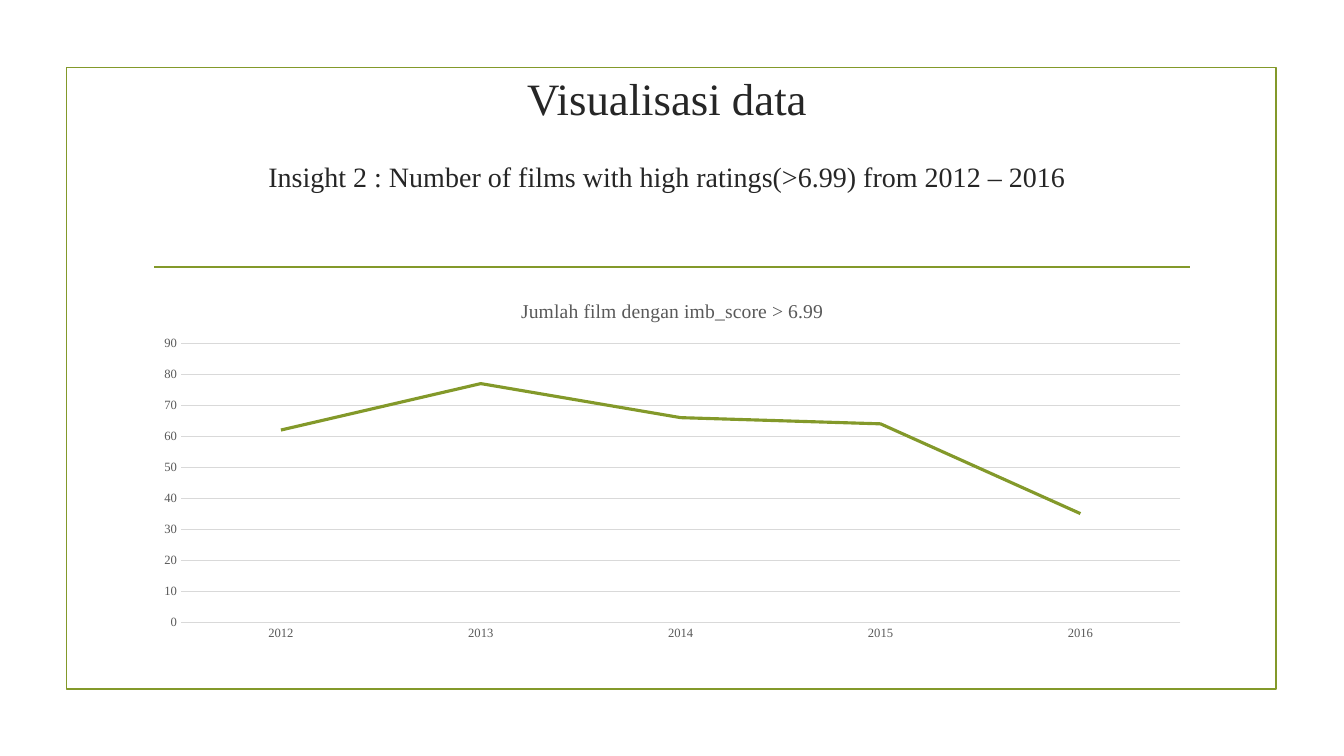
from dataclasses import dataclass

import pptx
import pptx.chart.data
import pptx.dml.color
import pptx.enum.chart
import pptx.enum.shapes
import pptx.enum.text
import pptx.oxml
import pptx.util
from pptx.util import Cm, Pt

FONT = "Times New Roman"
GREEN, DARK, GREY, PALE = "83992A", "262626", "595959", "D9D9D9"


@dataclass
class Heading:
    text: str
    size: float
    space_before: float


HEADINGS = [
    Heading("Visualisasi data", 32, 0),
    Heading("Insight 2 : Number of films with high ratings(>6.99) from 2012 – 2016", 20, 25),
]
CHART_TITLE = "Jumlah film dengan imb_score > 6.99"
FILMS = {"2012": 62, "2013": 77, "2014": 66, "2015": 64, "2016": 35}


def rgb(code: str) -> pptx.dml.color.RGBColor:
    return pptx.dml.color.RGBColor.from_string(code)


def set_font(font, size: float, color: str) -> None:
    font.name, font.size, font.bold = FONT, Pt(size), False
    font.color.rgb = rgb(color)


def set_line(line, color: str, width: float) -> None:
    line.color.rgb = rgb(color)
    line.width = Pt(width)


def add_frame(s) -> None:
    sp = s.shapes.add_shape(pptx.enum.shapes.MSO_SHAPE.RECTANGLE,
                            Cm(1.68), Cm(1.7), Cm(30.48), Cm(15.67))
    sp.shadow.inherit = False
    sp.fill.background()
    set_line(sp.line, GREEN, 1.25)


def add_rule(s) -> None:
    rule = s.shapes.add_connector(pptx.enum.shapes.MSO_CONNECTOR.STRAIGHT,
                                  Cm(3.89), Cm(6.73), Cm(30), Cm(6.73))
    set_line(rule.line, GREEN, 1.25)
    rule.element.spPr.append(pptx.oxml.parse_xml(
        '<a:effectLst xmlns:a="http://schemas.openxmlformats.org/drawingml/2006/main"/>'))


def fill_title(s) -> None:
    sp = s.shapes.title
    sp.left, sp.top, sp.width, sp.height = Cm(2.84), Cm(1.78), Cm(27.94), Cm(3.17)
    tf = sp.text_frame
    tf.word_wrap = True
    tf.auto_size = pptx.enum.text.MSO_AUTO_SIZE.NONE
    tf.vertical_anchor = pptx.enum.text.MSO_ANCHOR.BOTTOM
    tf.margin_top = tf.margin_bottom = Cm(0.08)
    tf.text = "\n".join(h.text for h in HEADINGS)
    for p, heading in zip(tf.paragraphs, HEADINGS):
        p.alignment = pptx.enum.text.PP_ALIGN.CENTER
        p.space_before = Pt(heading.space_before)
        set_font(p.font, heading.size, DARK)


def add_film_chart(s) -> None:
    data = pptx.chart.data.CategoryChartData()
    data.categories = list(FILMS)
    data.add_series(CHART_TITLE, list(FILMS.values()))
    chart = s.shapes.add_chart(pptx.enum.chart.XL_CHART_TYPE.LINE,
                               Cm(3.61), Cm(7.11), Cm(26.67), Cm(9.22), data).chart
    set_font(chart.font, 10, "000000")
    chart.has_legend = False
    chart.has_title = True
    tf = chart.chart_title.text_frame
    tf.text = CHART_TITLE
    set_font(tf.paragraphs[0].font, 14, GREY)
    chart.chart_title.include_in_layout = False

    for axis in (chart.category_axis, chart.value_axis):
        axis.major_tick_mark = axis.minor_tick_mark = pptx.enum.chart.XL_TICK_MARK.NONE
        set_font(axis.tick_labels.font, 9, GREY)
    set_line(chart.category_axis.format.line, PALE, 0.75)
    values = chart.value_axis
    values.minimum_scale, values.maximum_scale, values.major_unit = 0, 90, 10
    values.format.line.fill.background()
    set_line(values.major_gridlines.format.line, PALE, 0.75)

    plot = chart.plots[0]
    plot.vary_by_categories = False
    films = plot.series[0]
    films.smooth = False
    films.marker.style = pptx.enum.chart.XL_MARKER_STYLE.NONE
    set_line(films.format.line, GREEN, 2.25)


def main() -> None:
    prs = pptx.Presentation()
    prs.slide_width, prs.slide_height = Cm(33.87), Cm(19.05)
    s = prs.slides.add_slide(prs.slide_layouts.get_by_name("Title Only"))
    add_frame(s)
    add_rule(s)
    fill_title(s)
    add_film_chart(s)
    prs.save("out.pptx")


if __name__ == "__main__":
    main()
